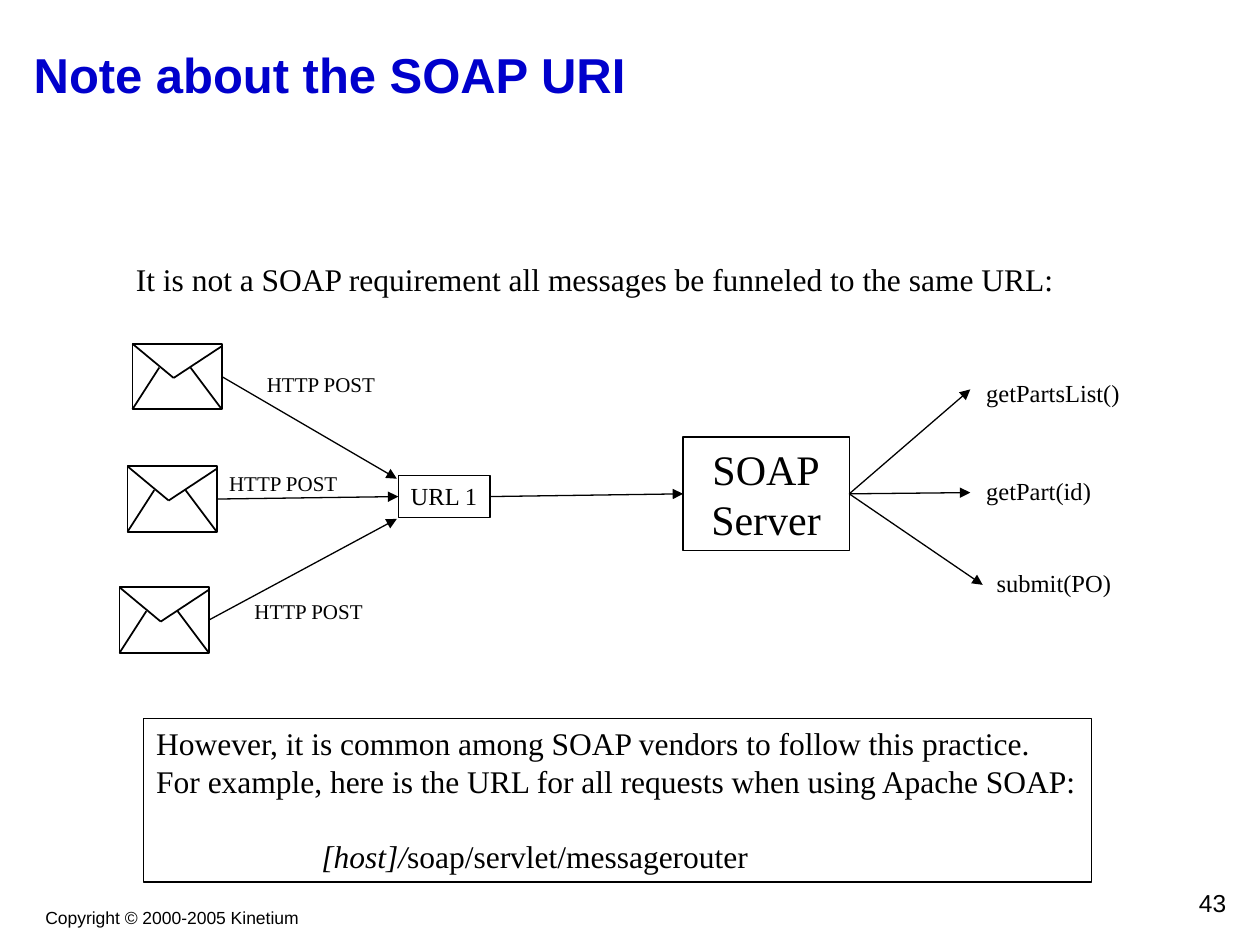
from typing import NamedTuple

from pptx import Presentation
from pptx.dml.color import RGBColor
from pptx.enum.shapes import MSO_CONNECTOR, MSO_SHAPE
from pptx.enum.text import MSO_ANCHOR, PP_ALIGN
from pptx.oxml.ns import qn
from pptx.util import Cm, Pt
from lxml import etree

LEFT, MID, RIGHT = PP_ALIGN.LEFT, PP_ALIGN.CENTER, PP_ALIGN.RIGHT
TOP, CENTER = MSO_ANCHOR.TOP, MSO_ANCHOR.MIDDLE
RECT = MSO_SHAPE.RECTANGLE
STRAIGHT = MSO_CONNECTOR.STRAIGHT
WEST, EAST = 1, 3
SERIF, SANS = "Times New Roman", "Arial"
BLACK, WHITE, BLUE = "000000", "FFFFFF", "0000CC"


class Run(NamedTuple):
    text: str
    slant: bool = False


class Para(NamedTuple):
    runs: list[Run]
    indent: float = 0
    before: float = 0


class Font(NamedTuple):
    size: float
    name: str = SERIF
    color: str = BLACK
    bold: bool = False


class Label(NamedTuple):
    text: str
    left: float
    top: float
    width: float
    height: float
    font: Font
    align: PP_ALIGN = LEFT
    anchor: MSO_ANCHOR = TOP


class Point(NamedTuple):
    x: float
    y: float


class Link(NamedTuple):
    start: object
    end: object  # a shape to join on its left side, or a free Point


def paint(target, color: str) -> None:
    target.rgb = RGBColor.from_string(color)


def plain(text: str) -> list[Para]:
    return [Para([Run(line)]) for line in text.split("\n")]


def write(shape, paras: list[Para], font: Font, align=LEFT, anchor=TOP, wrap=False) -> None:
    frame = shape.text_frame
    frame.word_wrap = wrap
    frame.vertical_anchor = anchor
    for i, para in enumerate(paras):
        p = frame.add_paragraph() if i else frame.paragraphs[0]
        p.alignment = align
        if para.before:
            p.space_before = Pt(para.before)
        if para.indent:
            p._p.get_or_add_pPr().set("marL", str(Cm(para.indent)))
        for part in para.runs:
            r = p.add_run()
            r.text = part.text
            r.font.name = font.name
            r.font.size = Pt(font.size)
            r.font.bold = font.bold
            r.font.italic = part.slant
            paint(r.font.color, font.color)


def add_label(shapes, item: Label) -> None:
    box = shapes.add_textbox(Cm(item.left), Cm(item.top), Cm(item.width), Cm(item.height))
    write(box, plain(item.text), item.font, item.align, item.anchor, item.align == RIGHT)


def add_box(shapes, left: float, top: float, width: float, height: float,
            weight: float = 0.75, fill: str = ""):
    box = shapes.add_shape(RECT, Cm(left), Cm(top), Cm(width), Cm(height))
    box.shadow.inherit = False
    if fill:
        box.fill.solid()
        paint(box.fill.fore_color, fill)
    else:
        box.fill.background()
    paint(box.line.color, BLACK)
    box.line.width = Pt(weight)
    return box


def add_line(shapes, start: Point, end: Point, weight: float):
    line = shapes.add_connector(STRAIGHT, Cm(start.x), Cm(start.y), Cm(end.x), Cm(end.y))
    paint(line.line.color, BLACK)
    line.line.width = Pt(weight)
    etree.SubElement(line._element.spPr, qn("a:effectLst"))
    return line


def add_arrow(shapes, link: Link) -> None:
    free = isinstance(link.end, Point)
    end = link.end if free else Point(0, 0)
    line = add_line(shapes, Point(0, 0), end, 0.75)
    line.begin_connect(link.start, EAST)
    if not free:
        line.end_connect(link.end, WEST)
    etree.SubElement(line.line._get_or_add_ln(), qn("a:tailEnd"), type="triangle")


def add_mail(shapes, spot: Point):
    """Draw an envelope as a group and return its outline."""
    wide, high = 1.8, 1.32
    tip = Point(0.83, 0.69)
    folds = [
        (Point(0, 0), tip),
        (tip, Point(wide, 0.05)),
        (Point(0, high), Point(0.54, 0.48)),
        (Point(wide, high), Point(1.17, 0.48)),
    ]
    group = shapes.add_group_shape()
    body = add_box(group.shapes, spot.x, spot.y, wide, high, 1, WHITE)
    for a, b in folds:
        add_line(group.shapes, Point(spot.x + a.x, spot.y + a.y),
                 Point(spot.x + b.x, spot.y + b.y), 1)
    return body


POST, CALL, BODY = Font(12), Font(14), Font(18)
LABELS = [
    Label("Copyright © 2000-2005 Kinetium", 0.66, 18.16, 5.61, 0.69, Font(10, SANS), MID),
    Label("Note about the SOAP URI", 0.43, 0.43, 24.56, 2.11,
          Font(28, SANS, BLUE, True), LEFT, CENTER),
    Label("It is not a SOAP requirement all messages be funneled to the same URL:",
          2.49, 5.11, 19.2, 1.02, BODY),
    *(Label("HTTP POST", x, y, 2.69, 0.76, POST)
      for x, y in [(5.13, 7.37), (4.37, 9.37), (4.88, 11.94)]),
    Label("getPartsList()", 19.63, 7.49, 3.2, 0.86, CALL),
    Label("getPart(id)", 19.63, 9.47, 2.62, 0.86, CALL),
    Label("submit(PO)", 19.84, 11.33, 2.82, 0.86, CALL),
    Label("43", 19.69, 17.78, 5.28, 0.84, Font(14, SANS), RIGHT),
]
MAILS = [Point(2.67, 6.93), Point(2.57, 9.4), Point(2.41, 11.84)]
NOTE = [
    *plain("However, it is common among SOAP vendors to follow this practice.\n"
           "For example, here is the URL for all requests when using Apache SOAP:"),
    Para([Run("[host]/", True), Run("soap/servlet/messagerouter")], 3.33, 21),
]


def main() -> None:
    deck = Presentation()
    deck.slide_width, deck.slide_height = Cm(25.4), Cm(19.05)
    shapes = deck.slides.add_slide(deck.slide_layouts[6]).shapes

    mails = [add_mail(shapes, spot) for spot in MAILS]
    url = add_box(shapes, 8.03, 9.58, 1.85, 0.86)
    write(url, plain("URL 1"), CALL)
    server = add_box(shapes, 13.77, 8.81, 3.35, 2.29)
    write(server, plain("SOAP\nServer"), Font(24), MID, wrap=True)
    note = add_box(shapes, 2.9, 14.48, 19.1, 3.3)
    write(note, NOTE, BODY)

    ends = [Point(8, 9.65), url, Point(8, 10.46)]
    calls = [Point(19.56, 7.85), Point(19.56, 9.93), Point(19.81, 11.79)]
    links = [Link(mail, end) for mail, end in zip(mails, ends)]
    links += [Link(url, server)] + [Link(server, end) for end in calls]
    for link in links:
        add_arrow(shapes, link)
    for item in LABELS:
        add_label(shapes, item)
    deck.save("out.pptx")


if __name__ == "__main__":
    main()
